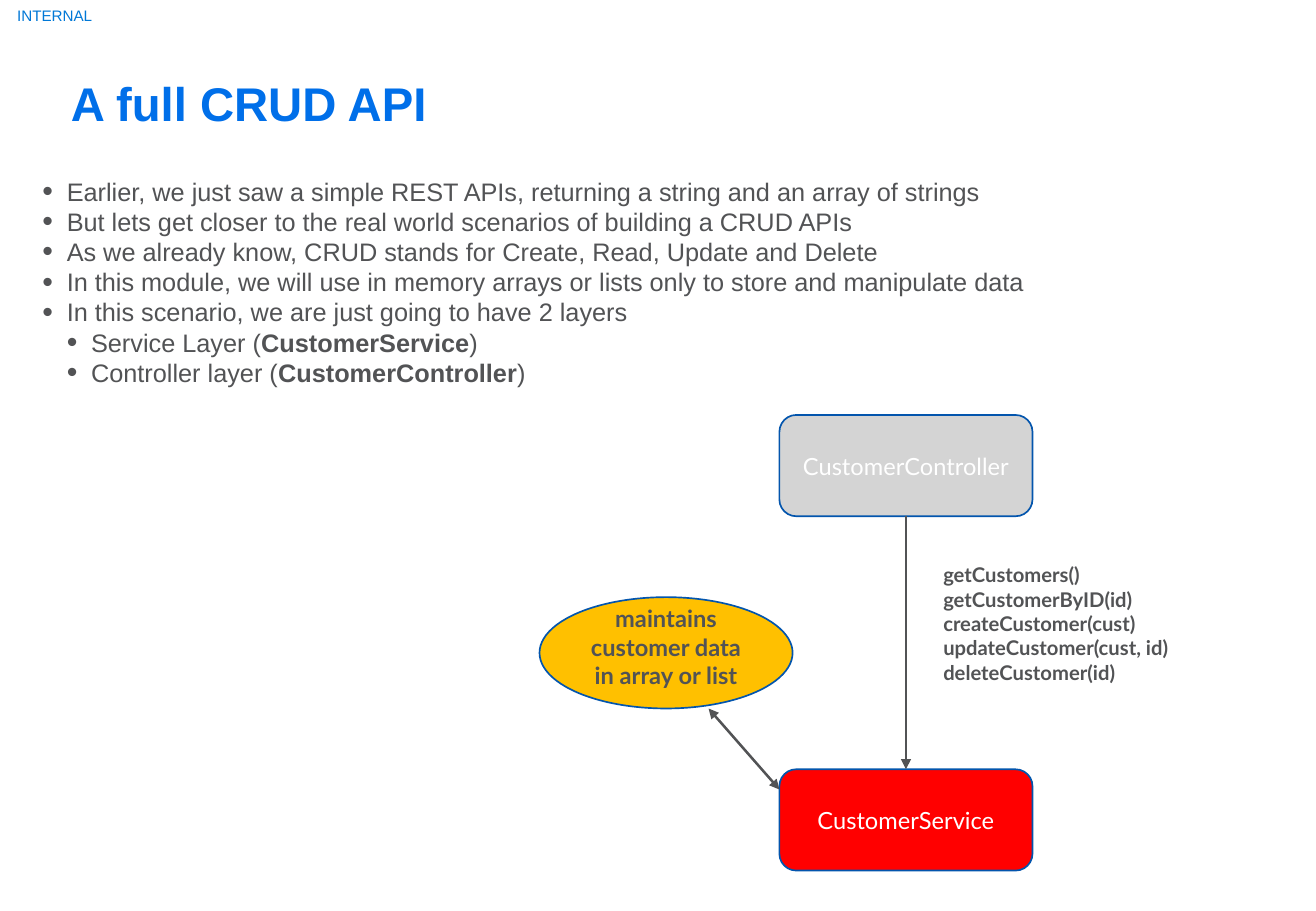
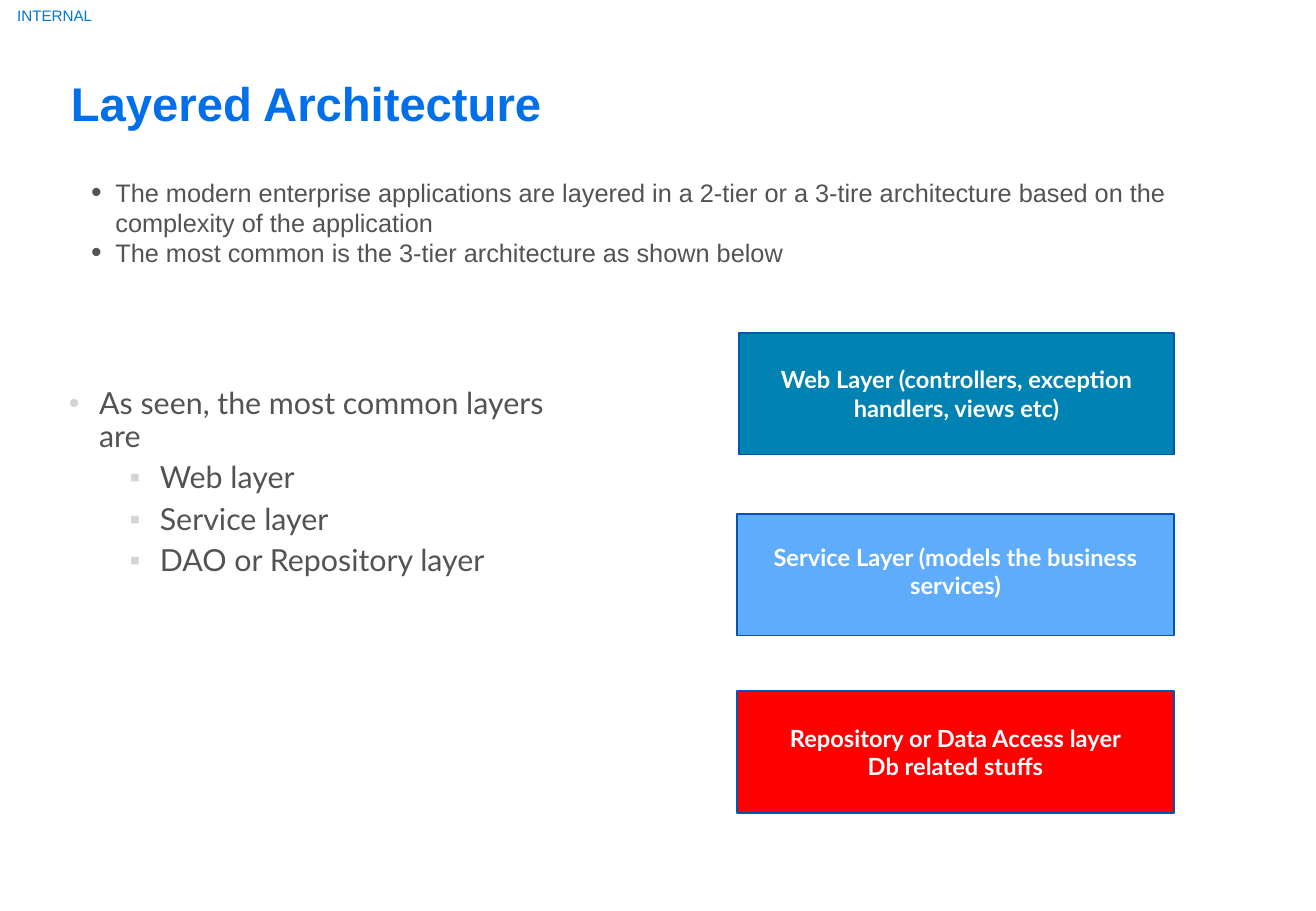
from lxml import etree
from pptx import Presentation
from pptx.dml.color import RGBColor
from pptx.enum.shapes import MSO_CONNECTOR, MSO_SHAPE as SHAPE
from pptx.enum.text import MSO_ANCHOR as ANCHOR, PP_ALIGN as ALIGN
from pptx.oxml.ns import qn
from pptx.util import Pt

PX = 7620  # 120 px to the inch
COLORS = {
    "title": "006FE9", "label": "0078D7", "text": "525355", "white": "FFFFFF",
    "outline": "0355AD", "gray": "D4D4D4", "red": "FF0000", "amber": "FFC000",
    "teal": "0083B3", "sky": "5FABFC",
}
RGB = {name: RGBColor.from_string(value) for name, value in COLORS.items()}


def write(frame, lines, font, size, color, bold=False, align=ALIGN.LEFT, margins=None):
    """Fill a text frame, one paragraph a line; words between asterisks are bold."""
    frame.word_wrap = True
    if margins is not None:
        (frame.margin_left, frame.margin_top,
         frame.margin_right, frame.margin_bottom) = [m * PX for m in margins]
    for number, line in enumerate(lines):
        paragraph = frame.add_paragraph() if number else frame.paragraphs[0]
        paragraph.alignment = align
        paragraph.font.name = font
        paragraph.font.size = Pt(size)
        paragraph.font.bold = bold
        paragraph.font.color.rgb = RGB[color]
        for index, part in enumerate(line.split("*")):
            run = paragraph.add_run()
            run.text = part
            if index % 2:
                run.font.bold = True


def add_bullet(paragraph, char, indent, hanging, color, percent):
    props = paragraph._p.get_or_add_pPr()
    props.set("marL", str(indent * PX))
    props.set("indent", str(-hanging * PX))
    defaults = props.find(qn("a:defRPr"))
    bullet_color = etree.Element(qn("a:buClr"))
    etree.SubElement(bullet_color, qn("a:srgbClr"), val=COLORS[color])
    for element in (
        bullet_color,
        etree.Element(qn("a:buSzPct"), val=str(percent * 1000)),
        etree.Element(qn("a:buFont"), typeface="Arial"),
        etree.Element(qn("a:buChar"), char=char),
    ):
        defaults.addprevious(element)


prs = Presentation()
prs.slide_width, prs.slide_height = 1300 * PX, 900 * PX
title_only = prs.slide_layouts[5]

# Titles
slides = []
for heading in ("A full CRUD API", "Layered Architecture"):
    slide = prs.slides.add_slide(title_only)
    title = slide.shapes.title
    title.left, title.top, title.width, title.height = [n * PX for n in (70, 91, 1044, 79)]
    title.text_frame.vertical_anchor = ANCHOR.TOP
    write(title.text_frame, [heading], "Arial", 28, "title", bold=True, margins=(0, 0, 0, 0))
    title.text_frame.paragraphs[0].line_spacing = Pt(22.8)
    slides.append(slide)
crud, layers = slides

# Classification label, shared through the layout
label = crud.shapes.add_textbox(0, 0, 108 * PX, 31 * PX)
label.text_frame.vertical_anchor = ANCHOR.MIDDLE
write(label.text_frame, ["INTERNAL"], "Arial", 9, "label", align=ALIGN.CENTER,
      margins=(0, 0, 0, 0))
title_only.shapes.element.append(label.element)

# Main bullets: (level, text)
crud_points = [
    (0, "Earlier, we just saw a simple REST APIs, returning a string and an array of strings"),
    (0, "But lets get closer to the real world scenarios of building a CRUD APIs"),
    (0, "As we already know, CRUD stands for Create, Read, Update and Delete"),
    (0, "In this module, we will use in memory arrays or lists only to store and manipulate data"),
    (0, "In this scenario, we are just going to have 2 layers"),
    (1, "Service Layer (*CustomerService*)"),
    (1, "Controller layer (*CustomerController*)"),
]
layer_points = [
    (0, "The modern enterprise applications are layered in a 2-tier or a 3-tire architecture "
        "based on the complexity of the application"),
    (0, "The most common is the 3-tier architecture as shown below"),
]
for slide, area, points in (
    (crud, (42, 174, 1198, 716), crud_points),
    (layers, (90, 175, 1067, 576), layer_points),
):
    body = slide.shapes.add_textbox(*[n * PX for n in area]).text_frame
    write(body, [text for _, text in points], "Arial", 15, "text", margins=(0, 0, 0, 0))
    for paragraph, (level, _) in zip(body.paragraphs, points):
        paragraph.level = level
        paragraph.line_spacing = Pt(17.9)
        add_bullet(paragraph, "•", 24 * (level + 1), 24, "text", 120)

# Diagram boxes; a deeper bottom margin lifts the text
box_margins, lifted, ellipse_margins = (12, 6, 12, 6), (12, 6, 12, 14), (12, 0, 12, 12)
boxes = []
for slide, preset, area, fill, lines, color, bold, margins in (
    (crud, SHAPE.ROUNDED_RECTANGLE, (770, 410, 250, 100), "gray",
     ["CustomerController"], "white", False, box_margins),
    (crud, SHAPE.ROUNDED_RECTANGLE, (770, 760, 250, 100), "red",
     ["CustomerService"], "white", False, box_margins),
    (crud, SHAPE.OVAL, (533, 590, 250, 110), "amber",
     ["maintains customer data in array or list"], "text", True, ellipse_margins),
    (layers, SHAPE.RECTANGLE, (730, 329, 430, 120), "teal",
     ["Web Layer (controllers, exception handlers, views etc)"], "white", True, box_margins),
    (layers, SHAPE.RECTANGLE, (728, 508, 432, 120), "sky",
     ["Service Layer (models the business services)"], "white", True, lifted),
    (layers, SHAPE.RECTANGLE, (728, 683, 432, 120), "red",
     ["Repository or Data Access layer", "Db related stuffs"], "white", True, box_margins),
):
    box = slide.shapes.add_shape(preset, *[n * PX for n in area])
    box.shadow.inherit = False
    box.fill.solid()
    box.fill.fore_color.rgb = RGB[fill]
    box.line.color.rgb = RGB["outline"]
    box.line.width = Pt(1)
    box.text_frame.vertical_anchor = ANCHOR.MIDDLE
    write(box.text_frame, lines, "Lato", 14, color, bold, ALIGN.CENTER, margins)
    boxes.append(box)
controller, service = boxes[:2]

# Arrows and the calls between controller and service
arrows = []
for ends, heads in (
    ((895, 510, 895, 760), ["tailEnd"]),
    ((700, 700, 770, 780), ["headEnd", "tailEnd"]),
):
    arrow = crud.shapes.add_connector(MSO_CONNECTOR.STRAIGHT, *[n * PX for n in ends])
    arrow.line.color.rgb = RGB["text"]
    arrow.line.width = Pt(1.5)
    for head in heads:
        etree.SubElement(arrow.line._get_or_add_ln(), qn(f"a:{head}"), type="triangle")
    etree.SubElement(arrow.element.spPr, qn("a:effectLst"))
    arrows.append(arrow)
arrows[0].begin_connect(controller, 2)
arrows[0].end_connect(service, 0)

calls = crud.shapes.add_textbox(*[n * PX for n in (920, 550, 270, 162)])
write(calls.text_frame,
      ["getCustomers()", "getCustomerByID(id)", "createCustomer(cust)",
       "updateCustomer(cust, id)", "deleteCustomer(id)"],
      "Lato", 12, "text", bold=True)

# Common layers
common = layers.shapes.add_textbox(*[n * PX for n in (68, 332, 502, 367)]).text_frame
write(common,
      ["As seen, the most common layers are", "Web layer", "Service layer",
       "DAO or Repository layer"],
      "Lato", 18, "text", margins=(0, 52, 0, 0))
for number, paragraph in enumerate(common.paragraphs):
    paragraph.line_spacing = 0.9
    if number:
        paragraph.level = 1
        paragraph.space_before = Pt(5)
        add_bullet(paragraph, "▪", 90, 30, "gray", 100)
    else:
        add_bullet(paragraph, "•", 30, 30, "gray", 100)

prs.save("out.pptx")
